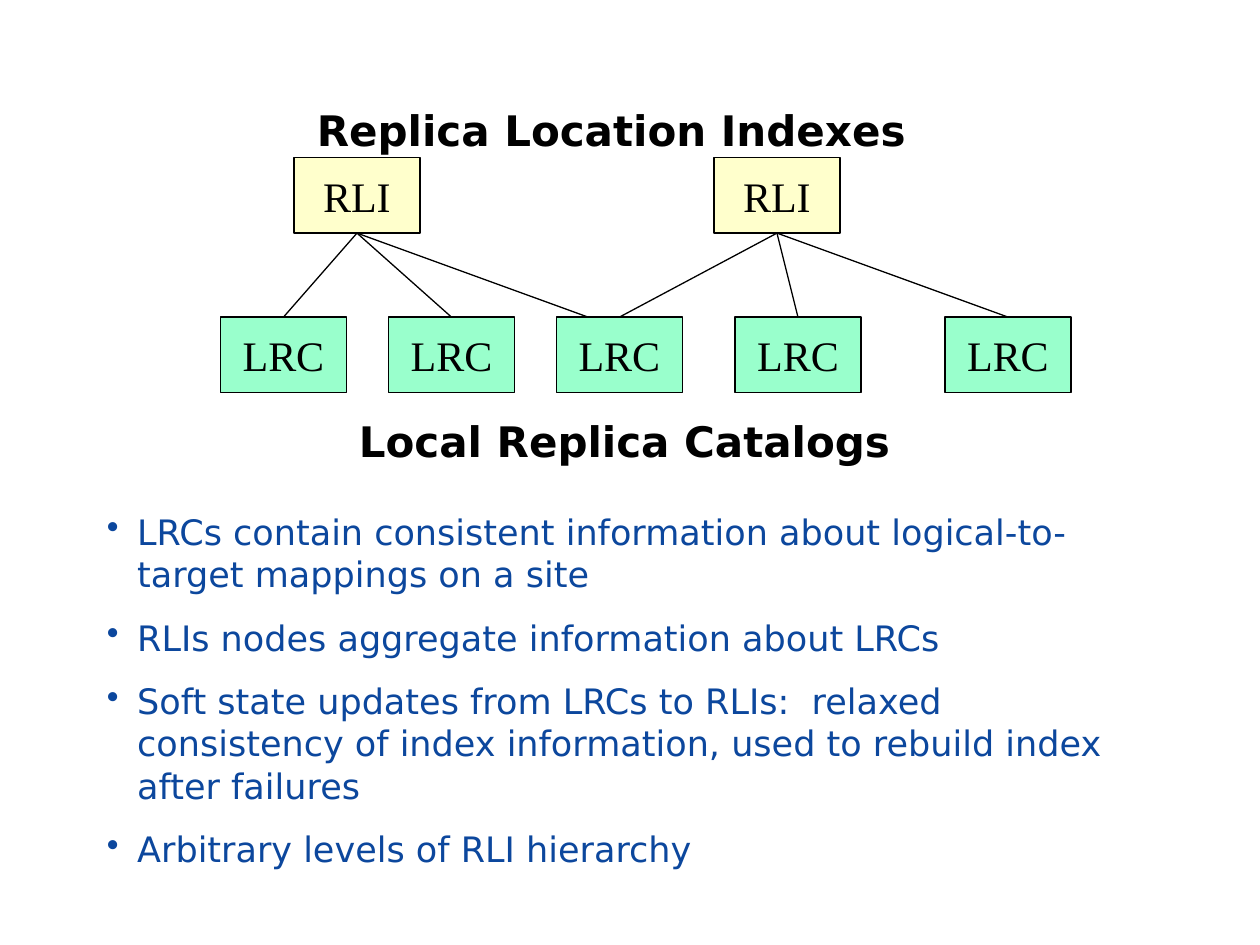
from dataclasses import dataclass

from lxml.etree import SubElement
from pptx import Presentation
from pptx.dml.color import RGBColor
from pptx.enum.shapes import MSO_CONNECTOR, MSO_SHAPE
from pptx.enum.text import MSO_ANCHOR, PP_ALIGN
from pptx.oxml.ns import qn
from pptx.shapes.autoshape import Shape
from pptx.slide import Slide
from pptx.util import Inches, Pt

HUES = {"ink": "000000", "index": "FFFFCC", "local": "99FFCC", "point": "0C479D"}
WIDE, HIGH = Inches(10), Inches(7.5)
UNIT = WIDE / 120
BOX_W, BOX_H = 12, 7.2
SERIF, SANS = "Times New Roman", "DejaVu Sans"


@dataclass(frozen=True)
class Tier:
    label: str
    hue: str
    row: float
    cols: tuple[int, ...]


@dataclass(frozen=True)
class Block:
    col: float
    row: float
    width: float
    height: float
    lines: tuple[str, ...]
    size: int
    hue: str
    gap: float
    bold: bool = False
    dots: bool = False


INDEX = Tier("RLI", "index", 15, (28, 68))
LOCAL = Tier("LRC", "local", 30.2, (21, 37, 53, 70, 90))
LINKS = ((0, 0), (1, 0), (2, 1), (3, 1), (4, 1))
SIDE_COL = 56

BLOCKS = (
    Block(29, 9.4, 62, 6, ("Replica Location Indexes",), 24, "ink", 15, bold=True),
    Block(33, 39, 54, 6, ("Local Replica Catalogs",), 24, "ink", 15, bold=True),
    Block(9, 48, 98, 31.4, (
        "LRCs contain consistent information about logical-to-target mappings on a site",
        "RLIs nodes aggregate information about LRCs",
        "Soft state updates from LRCs to RLIs:  relaxed consistency of index information, "
        "used to rebuild index after failures",
        "Arbitrary levels of RLI hierarchy",
    ), 20, "point", 12.5, dots=True),
)


def span(count: float) -> int:
    return round(count * UNIT)


def tint(name: str) -> RGBColor:
    return RGBColor.from_string(HUES[name])


def style(para, face: str, size: int, hue: str, bold: bool = False) -> None:
    for run in para.runs:
        run.font.name = face
        run.font.size = Pt(size)
        run.font.bold = bold
        run.font.color.rgb = tint(hue)


def add_dot(para) -> None:
    props = para._p.get_or_add_pPr()
    props.set("marL", str(Inches(0.24)))
    props.set("indent", str(-Inches(0.24)))
    SubElement(props, qn("a:buChar")).set("char", "•")


def draw_tier(slide: Slide, tier: Tier) -> list[Shape]:
    nodes = []
    for col in tier.cols:
        node = slide.shapes.add_shape(
            MSO_SHAPE.RECTANGLE, span(col), span(tier.row), span(BOX_W), span(BOX_H))
        node.shadow.inherit = False
        node.fill.solid()
        node.fill.fore_color.rgb = tint(tier.hue)
        node.line.color.rgb = tint("ink")
        node.line.width = Pt(0.75)
        frame = node.text_frame
        frame.word_wrap = False
        frame.vertical_anchor = MSO_ANCHOR.MIDDLE
        frame.text = tier.label
        para = frame.paragraphs[0]
        para.alignment = PP_ALIGN.CENTER
        style(para, SERIF, 24, "ink")
        nodes.append(node)
    return nodes


def draw_link(slide: Slide, low: Shape, top: Shape, col: float | None = None) -> None:
    start = low.left if col is None else span(col)
    link = slide.shapes.add_connector(
        MSO_CONNECTOR.STRAIGHT, start, low.top, top.left, top.top + top.height)
    if col is None:
        link.begin_connect(low, 0)
    link.end_connect(top, 2)
    link.line.color.rgb = tint("ink")
    link.line.width = Pt(0.75)
    SubElement(link._element.spPr, qn("a:effectLst"))


def draw_block(slide: Slide, block: Block) -> None:
    area = slide.shapes.add_textbox(
        span(block.col), span(block.row), span(block.width), span(block.height))
    frame = area.text_frame
    frame.word_wrap = True
    frame.text = "\n".join(block.lines)
    for para in frame.paragraphs:
        para.space_before = Pt(block.gap)
        style(para, SANS, block.size, block.hue, block.bold)
        if block.dots:
            add_dot(para)


def main() -> None:
    deck = Presentation()
    deck.slide_width, deck.slide_height = WIDE, HIGH
    slide = deck.slides.add_slide(deck.slide_layouts[6])
    tops = draw_tier(slide, INDEX)
    lows = draw_tier(slide, LOCAL)
    for low, top in LINKS:
        draw_link(slide, lows[low], tops[top])
    draw_link(slide, lows[2], tops[0], SIDE_COL)
    for block in BLOCKS:
        draw_block(slide, block)
    deck.save("out.pptx")


if __name__ == "__main__":
    main()
